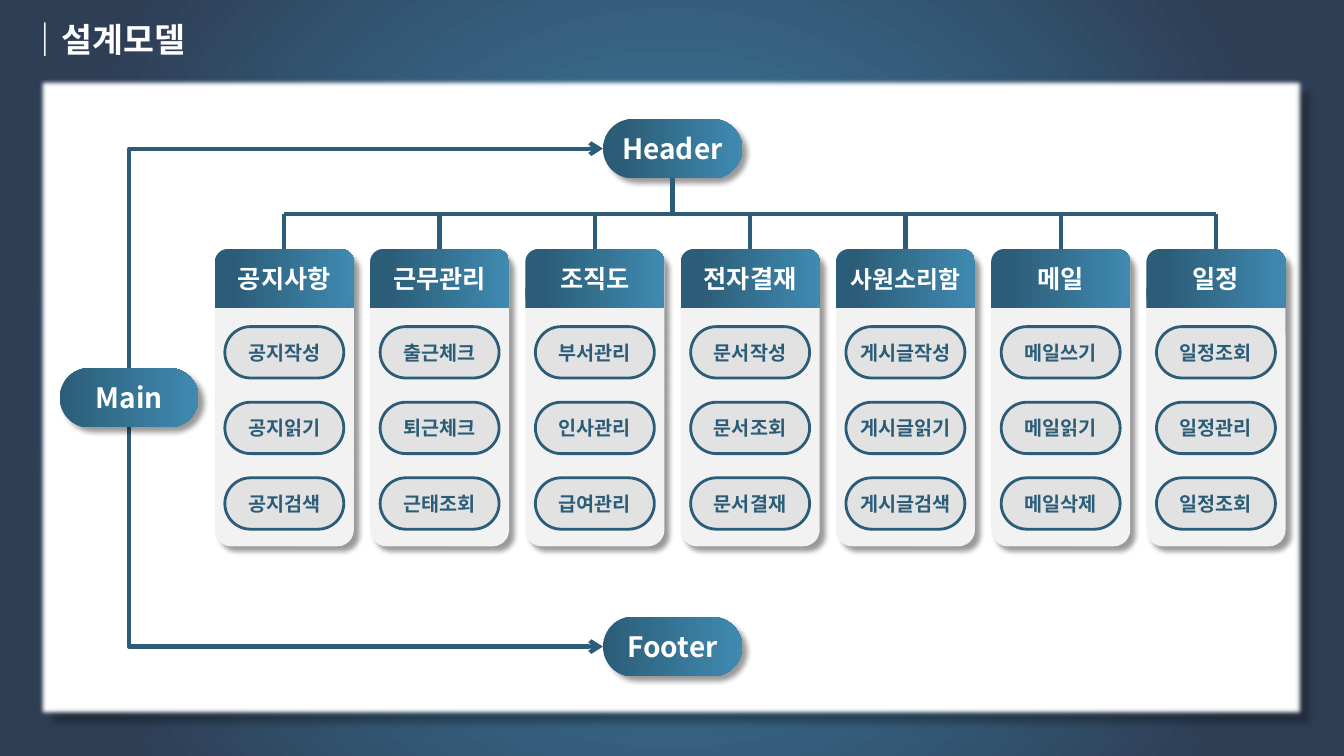
from lxml.etree import SubElement
from pptx import Presentation
from pptx.dml.color import RGBColor
from pptx.enum.shapes import MSO_CONNECTOR, MSO_SHAPE
from pptx.enum.text import MSO_ANCHOR, MSO_AUTO_SIZE, PP_ALIGN
from pptx.oxml.ns import qn
from pptx.util import Inches, Pt

# Content
TITLE = "｜설계모델"
MAIN, HEADER, FOOTER = "Main", "Header", "Footer"
MENUS = [
    ("공지사항", ["공지작성", "공지읽기", "공지검색"]),
    ("근무관리", ["출근체크", "퇴근체크", "근태조회"]),
    ("조직도", ["부서관리", "인사관리", "급여관리"]),
    ("전자결재", ["문서작성", "문서조회", "문서결재"]),
    ("사원소리함", ["게시글작성", "게시글읽기", "게시글검색"]),
    ("메일", ["메일쓰기", "메일읽기", "메일삭제"]),
    ("일정", ["일정조회", "일정관리", "일정조회"]),
]

# Colours and font
WHITE = RGBColor(0xFF, 0xFF, 0xFF)
NAVY = RGBColor(0x2E, 0x3E, 0x55)
TEAL = RGBColor(0x2C, 0x5D, 0x78)
BLUE = RGBColor(0x3F, 0x8A, 0xB1)
CARD_GREY = RGBColor(0xF2, 0xF2, 0xF2)
PILL_GREY = RGBColor(0xE2, 0xE2, 0xE2)
FONT = "Noto Sans CJK KR"

# Grid, in inches
SLIDE_WIDTH, SLIDE_HEIGHT = 13.33, 7.5
NODE_WIDTH, NODE_HEIGHT = 1.38, 0.59
NODE_LEFT, HEADER_TOP, MAIN_TOP, FOOTER_TOP = 5.98, 1.18, 3.65, 6.12
MAIN_LEFT = 0.59
MENU_LEFT, MENU_TOP, MENU_PITCH, MENU_HEIGHT = 2.13, 2.47, 1.54, 2.95
PILL_WIDTH, PILL_HEIGHT, PILL_TOP, PILL_PITCH = 1.18, 0.51, 3.24, 0.75
BUS_TOP = 2.12

presentation = Presentation()
presentation.slide_width = Inches(SLIDE_WIDTH)
presentation.slide_height = Inches(SLIDE_HEIGHT)
slide = presentation.slides.add_slide(presentation.slide_layouts[5])


def write(shape, text, size, color, alignment=PP_ALIGN.CENTER, **frame_format):
    frame = shape.text_frame
    for name, value in frame_format.items():
        setattr(frame, name, value)
    paragraph = frame.paragraphs[0]
    paragraph.alignment = alignment
    run = paragraph.add_run()
    run.text = text
    for name, value in {"size": Pt(size), "bold": True, "name": FONT}.items():
        setattr(run.font, name, value)
    run.font.color.rgb = color
    SubElement(run.font._element, qn("a:ea"), typeface=FONT)


def add_box(left, top, width, height, fill=None, radius=None):
    kind = MSO_SHAPE.RECTANGLE if radius is None else MSO_SHAPE.ROUNDED_RECTANGLE
    shape = slide.shapes.add_shape(
        kind, Inches(left), Inches(top), Inches(width), Inches(height))
    if radius is not None:
        shape.adjustments[0] = radius
    if fill is not None:
        shape.fill.solid()
        shape.fill.fore_color.rgb = fill
    shape.line.fill.background()
    shape.shadow.inherit = False
    return shape


def paint_gradient(shape, stops):
    shape.fill.gradient()
    shape.fill.gradient_angle = 0
    for stop, (position, color) in zip(shape.fill.gradient_stops, stops):
        stop.position = position
        stop.color.rgb = color


def cast_shadow(shape, alpha, distance):
    effects = shape._element.spPr.find(qn("a:effectLst"))
    shadow = SubElement(
        effects, qn("a:outerShdw"), blurRad=str(Pt(4)), dist=str(Pt(distance)),
        dir="2700000", algn="tl", rotWithShape="0")
    color = SubElement(shadow, qn("a:srgbClr"), val="000000")
    SubElement(color, qn("a:alpha"), val=str(alpha * 1000))
    return effects


def add_label(text, left, top, width, height, radius, size, fill=None, color=WHITE, start=0.14):
    shape = add_box(left, top, width, height, fill, radius)
    if fill is None:
        paint_gradient(shape, [(start, TEAL), (1, BLUE)])
    write(shape, text, size, color, vertical_anchor=MSO_ANCHOR.MIDDLE,
          word_wrap=True, margin_left=0, margin_right=0)
    return shape


def add_node(text, left, top, start=0):
    node = add_label(text, left, top, NODE_WIDTH, NODE_HEIGHT, 0.5, 20, start=start)
    cast_shadow(node, 40, 5)


def add_line(x1, y1, x2, y2, kind=MSO_CONNECTOR.STRAIGHT):
    line = slide.shapes.add_connector(kind, Inches(x1), Inches(y1), Inches(x2), Inches(y2))
    line.line.color.rgb = TEAL
    line.line.width = Pt(3)
    SubElement(line._element.spPr, qn("a:effectLst"))
    return line


def add_elbow(start_y, end_y, rotation, flips):
    """Leave the main node vertically, then turn right into a node."""
    start_x = MAIN_LEFT + NODE_WIDTH / 2
    rise, reach = abs(end_y - start_y), NODE_LEFT - start_x
    middle_x, middle_y = (start_x + NODE_LEFT) / 2, (start_y + end_y) / 2
    elbow = add_line(middle_x - rise / 2, middle_y - reach / 2,
                     middle_x + rise / 2, middle_y + reach / 2, MSO_CONNECTOR.ELBOW)
    properties = elbow._element.spPr
    properties.find(qn("a:prstGeom")).set("prst", "bentConnector2")
    frame = properties.find(qn("a:xfrm"))
    frame.set("rot", str(rotation * 60000))
    for flip in flips:
        frame.set(flip, "1")
    SubElement(properties.find(qn("a:ln")), qn("a:tailEnd"), type="arrow")


# Backdrop with a radial gradient
backdrop = add_box(0, 0, SLIDE_WIDTH, SLIDE_HEIGHT)
paint_gradient(backdrop, [(0, BLUE), (0.85, NAVY)])
gradient = backdrop._element.spPr.find(qn("a:gradFill"))
gradient.remove(gradient.find(qn("a:lin")))
radial = SubElement(gradient, qn("a:path"), path="circle")
SubElement(radial, qn("a:fillToRect"), l="50000", t="50000", r="50000", b="50000")

# White panel with a soft edge
panel = add_box(0.39, 0.79, 12.55, 6.32, WHITE)
SubElement(cast_shadow(panel, 30, 10), qn("a:softEdge"), rad=str(Pt(2.5)))

# Title, brought in front of the backdrop
title = slide.shapes.title
for name, value in {"left": 0.18, "top": 0.14, "width": 1.88, "height": 0.5}.items():
    setattr(title, name, Inches(value))
write(title, TITLE, 24, WHITE, PP_ALIGN.LEFT, word_wrap=False,
      vertical_anchor=MSO_ANCHOR.TOP, auto_size=MSO_AUTO_SIZE.SHAPE_TO_FIT_TEXT)
panel._element.addnext(title._element)

# Arrows from the main node, then the header and footer nodes
add_elbow(MAIN_TOP, HEADER_TOP + NODE_HEIGHT / 2, 90, ("flipH", "flipV"))
add_elbow(MAIN_TOP + NODE_HEIGHT, FOOTER_TOP + NODE_HEIGHT / 2, 270, ("flipH",))
add_node(FOOTER, NODE_LEFT, FOOTER_TOP)
add_node(HEADER, NODE_LEFT, HEADER_TOP, 0.14)

# Menu columns
centers = []
for column, (menu, items) in enumerate(MENUS):
    left = MENU_LEFT + column * MENU_PITCH
    centers.append(left + NODE_WIDTH / 2)
    card = add_box(left, MENU_TOP, NODE_WIDTH, MENU_HEIGHT, CARD_GREY, 0.119)
    cast_shadow(card, 40, 5)
    square_base = add_box(left, MENU_TOP + NODE_HEIGHT - 0.2, NODE_WIDTH, 0.2, radius=0)
    paint_gradient(square_base, [(0.14, TEAL), (1, BLUE)])
    add_label(menu, left, MENU_TOP, NODE_WIDTH, NODE_HEIGHT, 0.219,
              17 if len(menu) > 4 else 18)
    for row, item in enumerate(items):
        pill = add_label(item, left + (NODE_WIDTH - PILL_WIDTH) / 2, PILL_TOP + row * PILL_PITCH,
                         PILL_WIDTH, PILL_HEIGHT, 0.5, 14, PILL_GREY, TEAL)
        pill.line.color.rgb = TEAL
        pill.line.width = Pt(2)

add_node(MAIN, MAIN_LEFT, MAIN_TOP)

# Tree lines from the header to each menu
header_center = NODE_LEFT + NODE_WIDTH / 2
add_line(header_center, HEADER_TOP + NODE_HEIGHT, header_center, BUS_TOP)
add_line(centers[0], BUS_TOP, centers[-1], BUS_TOP)
for center in centers:
    add_line(center, BUS_TOP, center, MENU_TOP)

presentation.save("out.pptx")
